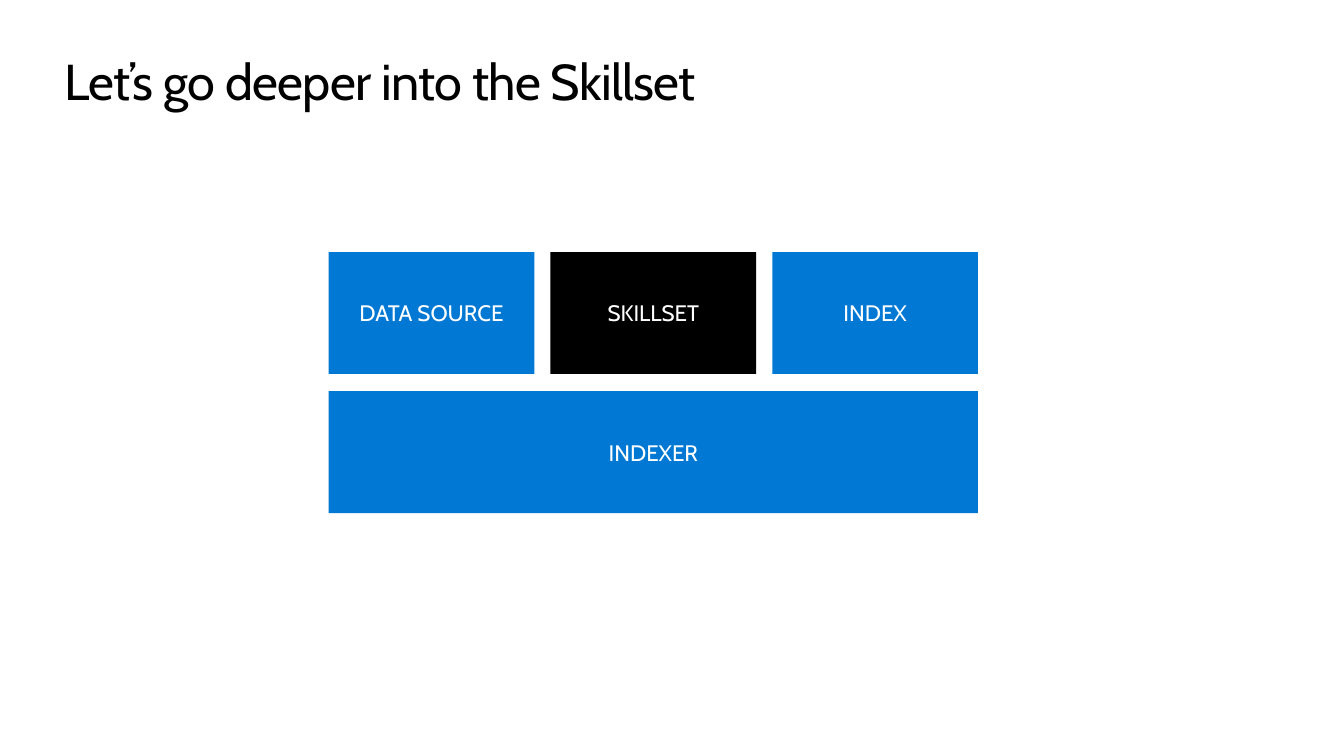
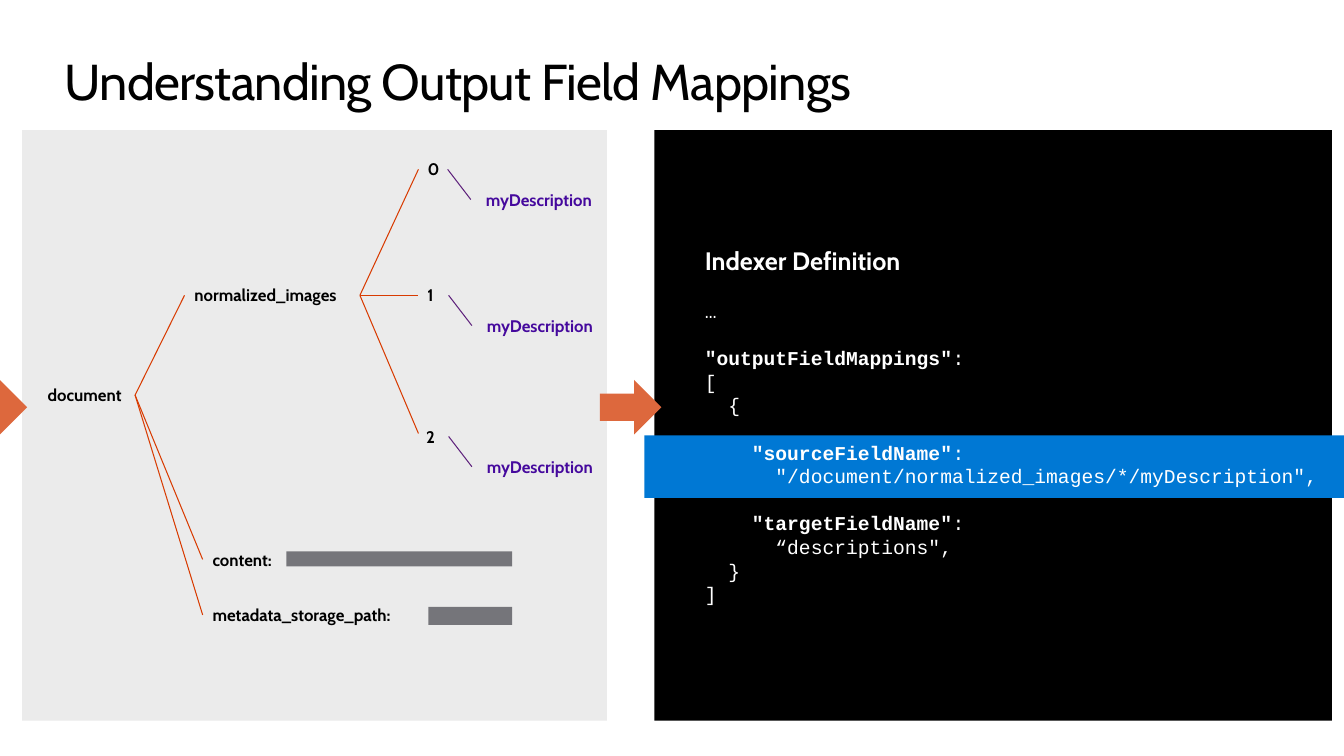
from lxml import etree
from pptx import Presentation
from pptx.dml.color import RGBColor
from pptx.enum import shapes, text
from pptx.oxml import ns
from pptx.util import Inches, Pt

COLORS = {
    "ink": "000000", "paper": "FFFFFF", "blue": "0078D4", "panel": "EBEBEB",
    "value": "75757A", "branch": "D83B01", "arrow": "DD683D",
    "twig": "5E227C", "enriched": "45099D",
}
SANS, MONO = "Cabin", "Courier New"
CODE_LINE = 16.86  # points from one code line to the next

# Each line: indent, bold key, rest, and whether a gap comes before it
CODE = [
    (0, "", "…", True),
    (0, '"outputFieldMappings"', ":", True),
    (0, "", "[", False),
    (2, "", "{", False),
    (4, '"sourceFieldName"', ":", True),
    (6, "", '"/document/normalized_images/*/myDescription",', False),
    (4, '"targetFieldName"', ":", True),
    (6, "", '“descriptions",', False),
    (2, "", "}", False),
    (0, "", "]", False),
]


def rgb(name):
    return RGBColor.from_string(COLORS[name])


def style(paragraph, size, color="ink", face=SANS, bold=False):
    font = paragraph.font
    font.name, font.size, font.bold = face, Pt(size), bold
    font.color.rgb = rgb(color)


def set_margins(frame, left=0.0, top=0.0):
    frame.margin_left, frame.margin_right = Inches(left), 0
    frame.margin_top = frame.margin_bottom = Inches(top)


def add_block(slide, left, top, width, height, color,
              kind=shapes.MSO_SHAPE.RECTANGLE):
    block = slide.shapes.add_shape(
        kind, Inches(left), Inches(top), Inches(width), Inches(height))
    block.shadow.inherit = False
    block.fill.solid()
    block.fill.fore_color.rgb = rgb(color)
    block.line.fill.background()
    return block


def add_line(slide, start, end, color):
    line = slide.shapes.add_connector(
        shapes.MSO_CONNECTOR.STRAIGHT, *(Inches(v) for v in (*start, *end)))
    line.line.color.rgb = rgb(color)
    line.line.width = Pt(0.75)
    etree.SubElement(line._element.spPr, ns.qn("a:effectLst"))


def add_label(slide, words, left, middle, width, color="ink", centred=False):
    """Bold one-line label, centred vertically on middle."""
    label = slide.shapes.add_textbox(
        Inches(left), Inches(middle - 0.15), Inches(width), Inches(0.3))
    frame = label.text_frame
    frame.word_wrap = True
    set_margins(frame, 0 if centred else 0.1, 0.05)
    line = frame.paragraphs[0]
    line.text = words
    line.alignment = text.PP_ALIGN.CENTER if centred else text.PP_ALIGN.LEFT
    style(line, 12, color, bold=True)


def add_titled_slide(prs, words):
    slide = prs.slides.add_slide(prs.slide_layouts[5])
    title = slide.shapes.title
    title.left, title.top = Inches(0.64), Inches(0.5)
    title.width, title.height = Inches(12.05), Inches(0.61)
    frame = title.text_frame
    frame.text = words
    frame.word_wrap = True
    frame.auto_size = text.MSO_AUTO_SIZE.NONE
    frame.vertical_anchor = text.MSO_ANCHOR.TOP
    set_margins(frame)
    heading = frame.paragraphs[0]
    heading.alignment = text.PP_ALIGN.LEFT
    style(heading, 36)
    # Slightly tightened letter spacing
    heading._p.get_or_add_pPr().get_or_add_defRPr().set("spc", "-50")
    return slide


def add_components(slide, left, top):
    """Three components standing on the indexer that joins them."""
    width, height, gap = 2.04, 1.21, 0.16
    pitch = width + gap
    components = [(i * pitch, 0, width, name, color) for i, (name, color) in enumerate(
        [("DATA SOURCE", "blue"), ("SKILLSET", "ink"), ("INDEX", "blue")])]
    components.append((0, height + 0.17, 2 * pitch + width, "INDEXER", "blue"))
    for x, y, wide, name, color in components:
        frame = add_block(slide, left + x, top + y, wide, height, color).text_frame
        set_margins(frame, 0, 0.05)
        frame.vertical_anchor = text.MSO_ANCHOR.MIDDLE
        frame.text = name
        frame.paragraphs[0].alignment = text.PP_ALIGN.CENTER
        style(frame.paragraphs[0], 16, "paper")


def add_document_tree(slide, left, top, width, height):
    """Enriched document drawn as a tree on a grey panel."""
    add_block(slide, left, top, width, height, "panel")

    def at(x, y):
        return left + x, top + y

    # Root and its three branches
    root = at(1.12, 2.63)
    add_label(slide, "document", root[0] - 1, root[1], 1, centred=True)
    for name, x, y, wide in [("normalized_images", 1.61, 1.64, 1.71),
                             ("content:", 1.79, 4.26, 1.46),
                             ("metadata_storage_path:", 1.79, 4.81, 2.21)]:
        tip = at(x, y)
        add_line(slide, root, tip, "branch")
        add_label(slide, name, *tip, wide)

    # Images, each with its description
    fork = at(3.35, 1.64)
    for number, x, y, tip_y in [("0", 4.08, 0.39, 0.39),
                                ("1", 4.05, 1.64, 1.64),
                                ("2", 4.05, 3.04, 3.01)]:
        add_line(slide, fork, at(3.93, tip_y), "branch")
        add_label(slide, number, *at(x - 0.15, y), 0.3, centred=True)
        twig_x = x + (0.14 if number == "0" else 0.18)
        tip = at(twig_x + 0.23, y + 0.3)
        add_line(slide, at(twig_x, y), tip, "twig")
        add_label(slide, "myDescription", *tip, 1.35, "enriched", centred=True)

    # Bars standing for the stored values
    add_block(slide, *at(2.62, 4.18), 2.24, 0.15, "value")
    add_block(slide, *at(4.03, 4.73), 0.83, 0.18, "value")


def add_code(slide, left, top, width, height):
    """Indexer definition, written over the dark panel."""
    listing = slide.shapes.add_textbox(
        Inches(left), Inches(top), Inches(width), Inches(height))
    frame = listing.text_frame
    frame.word_wrap = True
    frame.vertical_anchor = text.MSO_ANCHOR.MIDDLE
    set_margins(frame, 0.5)
    heading = frame.paragraphs[0]
    heading.text = "Indexer Definition"
    style(heading, 18, "paper", bold=True)
    for indent, key, rest, gap in CODE:
        line = frame.add_paragraph()
        line.line_spacing = Pt(CODE_LINE)
        line.space_before = Pt(CODE_LINE if gap else 0)
        style(line, 14, "paper", MONO)
        if key:
            key_run = line.add_run()
            key_run.text = " " * indent + key
            key_run.font.bold = True
            line.add_run().text = rest
        else:
            line.add_run().text = " " * indent + rest


def add_mapping(slide):
    panel_top, panel_height = 1.29, 5.86
    code_box = (6.49, panel_top, 6.72, panel_height)
    add_document_tree(slide, 0.22, panel_top, 5.8, panel_height)
    add_block(slide, *code_box, "ink")
    # Flow arrows into each panel
    for x in (-0.34, 5.95):
        add_block(slide, x, 3.77, 0.61, 0.54, "arrow", shapes.MSO_SHAPE.RIGHT_ARROW)
    # Highlight behind the source field
    add_block(slide, 6.39, 4.32, 6.94, 0.62, "blue")
    add_code(slide, *code_box)


def main():
    prs = Presentation()
    prs.slide_width, prs.slide_height = Inches(13.33), Inches(7.5)
    add_components(add_titled_slide(prs, "Let’s go deeper into the Skillset"), 3.26, 2.5)
    add_mapping(add_titled_slide(prs, "Understanding Output Field Mappings"))
    prs.save("out.pptx")


if __name__ == "__main__":
    main()
